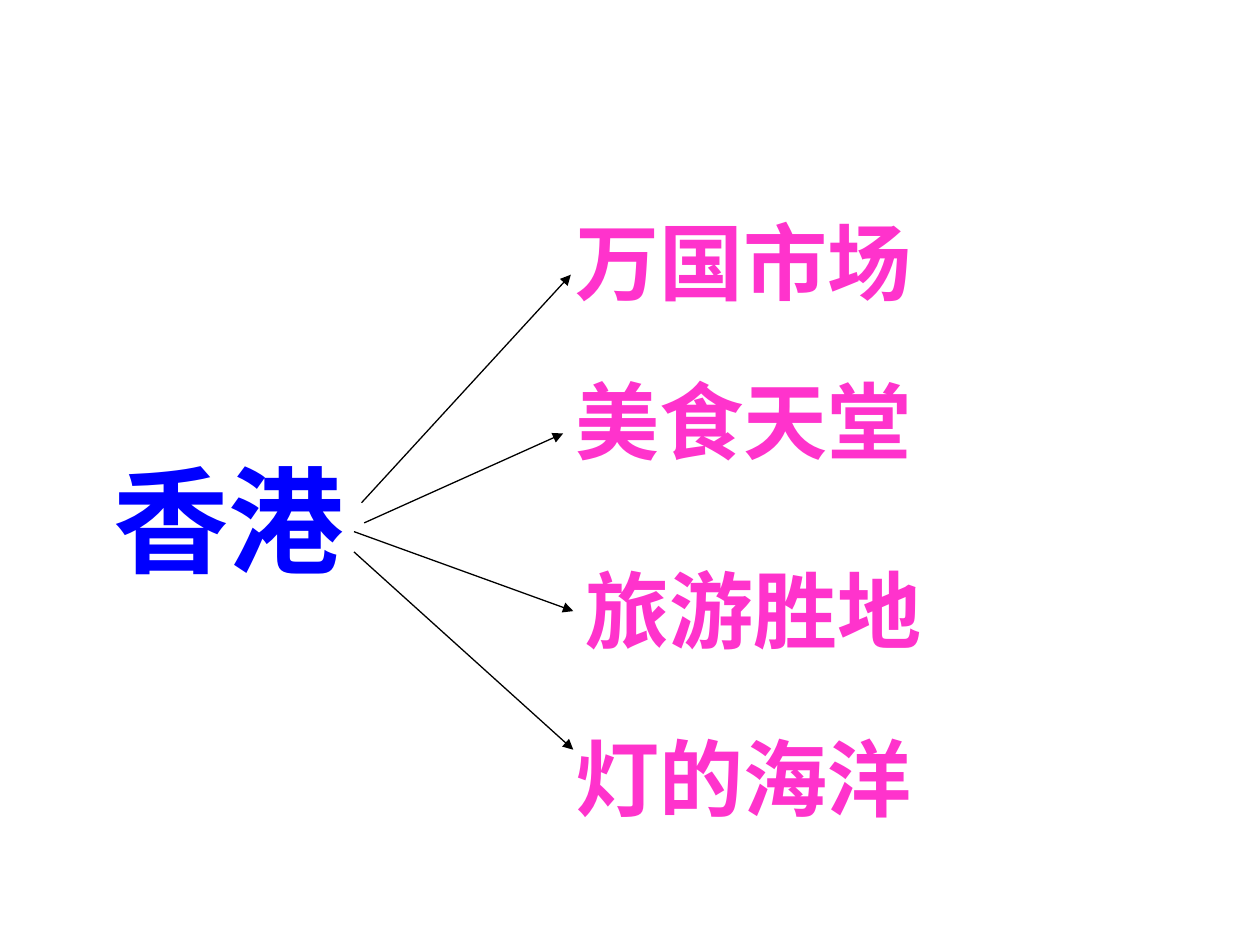
"""Build a slide that links Hong Kong to its four attractions with arrows."""
from lxml.etree import SubElement
from pptx import Presentation
from pptx.dml.color import RGBColor
from pptx.enum.shapes import MSO_CONNECTOR
from pptx.enum.text import MSO_AUTO_SIZE, PP_ALIGN
from pptx.oxml.ns import qn
from pptx.util import Pt

BLUE = RGBColor(0x00, 0x00, 0xFF)
PINK = RGBColor(0xFF, 0x33, 0xCC)
BLACK = RGBColor(0x00, 0x00, 0x00)
FONT = "Arial"

CITY = ("香港", 57.2, 253.1)
CITY_SIZE = (147, 86.4)
ATTRACTIONS = [
    ("万国市场", 321.8, 116.6),
    ("美食天堂", 321.8, 207.4),
    ("旅游胜地", 327.6, 315.4),
    ("灯的海洋", 321.8, 411.8),
]
ATTRACTION_SIZE = (207, 64.8)
ARROWS = [
    ((206.6, 287.3), (326.2, 157)),
    ((208.1, 298.8), (321.8, 247.7)),
    ((202.3, 303.8), (327.6, 349.2)),
    ((202.3, 315.4), (327.6, 428.4)),
]


def add_label(slide, label, size, font_size, color, alignment):
    text, left, top = label
    box = slide.shapes.add_textbox(*map(Pt, (left, top, *size)))
    frame = box.text_frame
    frame.word_wrap = False
    frame.auto_size = MSO_AUTO_SIZE.SHAPE_TO_FIT_TEXT
    para = frame.paragraphs[0]
    para.alignment = alignment
    span = para.add_run()
    span.text = text
    span.font.name = FONT
    span.font.size = Pt(font_size)
    span.font.bold = True
    span.font.color.rgb = color


def add_arrow(slide, start, end):
    arrow = slide.shapes.add_connector(MSO_CONNECTOR.STRAIGHT, *map(Pt, start + end))
    arrow.line.color.rgb = BLACK
    arrow.line.width = Pt(0.75)
    properties = arrow._element.spPr
    SubElement(properties.find(qn("a:ln")), qn("a:tailEnd"), type="triangle")
    SubElement(properties, qn("a:effectLst"))


def main():
    deck = Presentation()
    deck.slide_width, deck.slide_height = Pt(720), Pt(540)
    slide = deck.slides.add_slide(deck.slide_layouts[6])
    for attraction in ATTRACTIONS:
        add_label(slide, attraction, ATTRACTION_SIZE, 48, PINK, PP_ALIGN.LEFT)
    add_label(slide, CITY, CITY_SIZE, 66, BLUE, PP_ALIGN.CENTER)
    for start, end in ARROWS:
        add_arrow(slide, start, end)
    deck.save("out.pptx")


if __name__ == "__main__":
    main()
